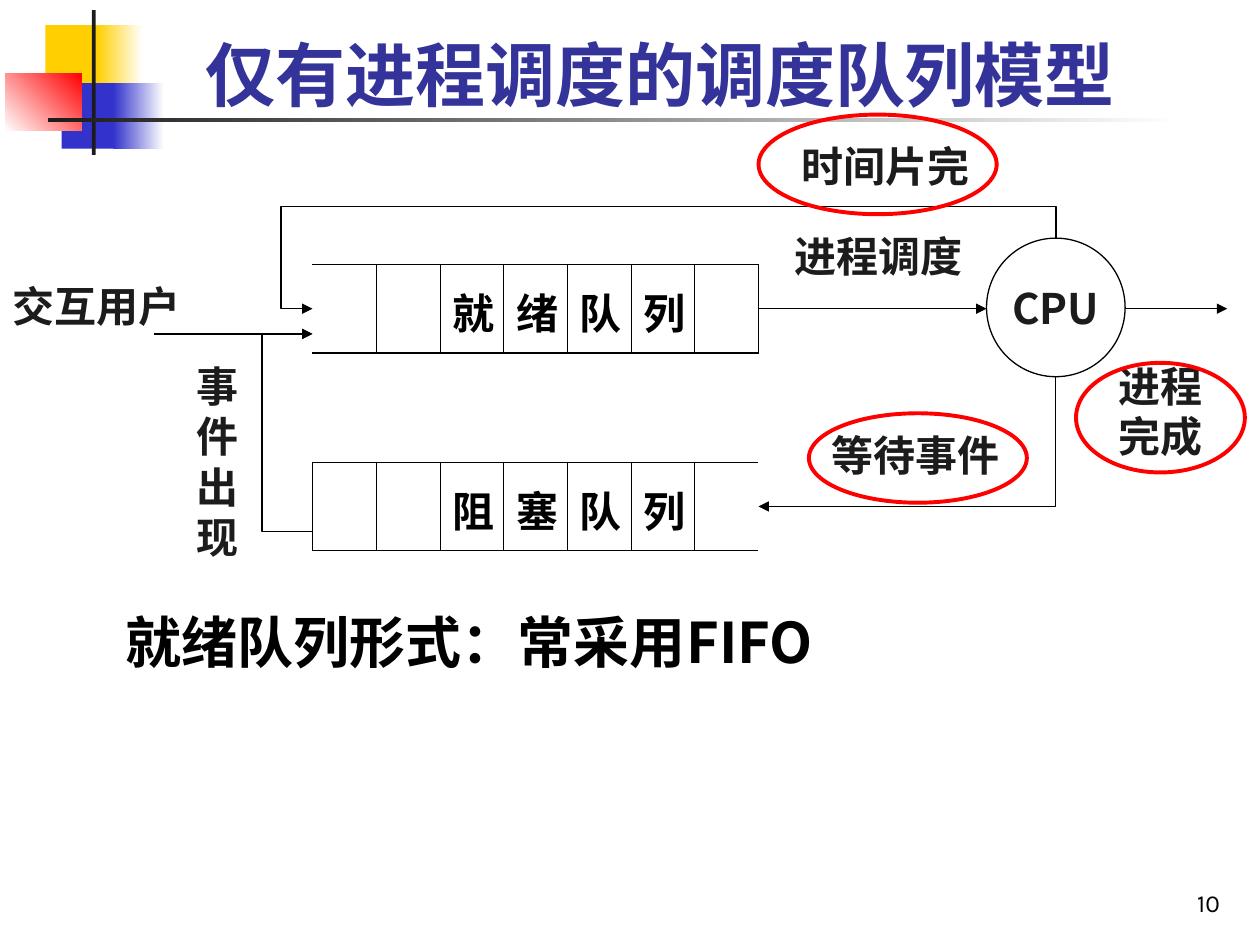
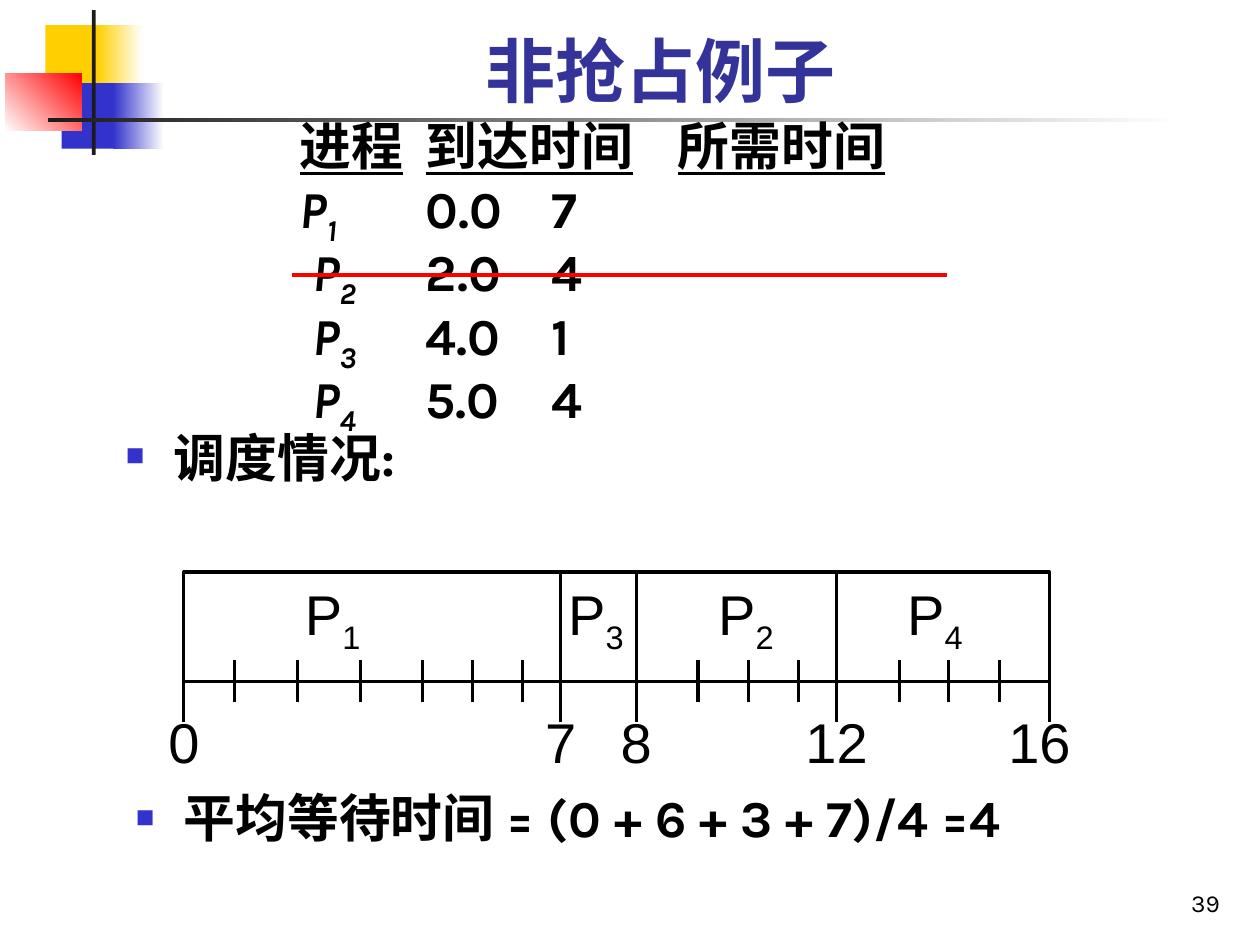
from collections import namedtuple

from lxml import etree
from pptx import Presentation
from pptx import util as u
from pptx.dml.color import RGBColor
from pptx.enum import shapes, text
from pptx.oxml.ns import qn

COLS, ROWS = 10, 7.5  # slide grid; every length below counts its columns and rows
CELL = u.Inches(1)
HAN, LATIN, PLAIN = "Noto Sans CJK SC", "Karla", "Arial"
BLACK, WHITE, INK = "000000", "FFFFFF", "1C1C1C"
RED, BLUE, YELLOW, TITLE = "FF0000", "3333CC", "FFCF01", "333399"
RECT, OVAL = shapes.MSO_SHAPE.RECTANGLE, shapes.MSO_SHAPE.OVAL
LEFT, CENTER, RIGHT = text.PP_ALIGN.LEFT, text.PP_ALIGN.CENTER, text.PP_ALIGN.RIGHT
TOP, MIDDLE, BOTTOM = (text.MSO_ANCHOR.TOP, text.MSO_ANCHOR.MIDDLE,
                       text.MSO_ANCHOR.BOTTOM)


class Box(namedtuple("Box", "x y w h")):
    def inner(self, x, y, w, h):
        """Box of the given size, placed from this box's corner."""
        return Box(self.x + x, self.y + y, w, h)

    def point(self, x, y):
        return self.x + x, self.y + y

    def emu(self):
        return [grid(v) for v in self]


def grid(n):
    return int(round(n * CELL))


def color(hex_string):
    return RGBColor.from_string(hex_string)


def sub(parent, tag, **attrs):
    return etree.SubElement(parent, qn(tag), {k: str(v) for k, v in attrs.items()})


# ---- text ----

def add_run(p, words, size=24, font=HAN, ink=BLACK, bold=False, italic=False,
            underline=False, base=0):
    r = p.add_run()
    r.text = words
    f = r.font
    f.size, f.name, f.bold, f.italic = u.Pt(size), font, bold, italic
    f.underline = underline
    f.color.rgb = color(ink)
    rPr = r._r.get_or_add_rPr()
    if base:
        rPr.set("baseline", str(base * 1000))
    sub(rPr, "a:ea", typeface=PLAIN if font == PLAIN else HAN)


def format_paragraph(p, align=LEFT, before=0, spacing=None, bullet=False, tabs=()):
    p.alignment = align
    pPr = p._p.get_or_add_pPr()
    if bullet:
        pPr.set("marL", str(grid(0.38)))
        pPr.set("indent", str(grid(-0.38)))
        sub(sub(pPr, "a:buClr"), "a:srgbClr", val=BLUE)
        sub(pPr, "a:buSzPct", val=60000)
        sub(pPr, "a:buFont", typeface=PLAIN)
        sub(pPr, "a:buChar", char="■")
    if tabs:
        stops = sub(pPr, "a:tabLst")
        for stop in tabs:
            sub(stops, "a:tab", pos=grid(stop), algn="l")
    p.space_before = u.Pt(before)
    if spacing:
        p.line_spacing = spacing


def fill_frame(tf, runs, anchor=TOP, align=LEFT, wrap=True, bullet=False, **font):
    """Write one paragraph; runs is a string or a list of (text, extra format)."""
    tf.word_wrap, tf.vertical_anchor = wrap, anchor
    p = tf.paragraphs[0]
    format_paragraph(p, align, bullet=bullet)
    for words, extra in [(runs, {})] if isinstance(runs, str) else runs:
        add_run(p, words, **{**font, **extra})


def add_text(s, box, runs, **kw):
    sp = s.shapes.add_textbox(*box.emu())
    fill_frame(sp.text_frame, runs, **kw)
    return sp


# ---- shapes and lines ----

def add_shape(s, kind, box, fill=None, line=None, width=1, angle=0):
    """fill is a colour, a pair of colours for a gradient, or None."""
    sp = s.shapes.add_shape(kind, *box.emu())
    sp.shadow.inherit = False
    if fill is None:
        sp.fill.background()
    elif isinstance(fill, tuple):
        sp.fill.gradient()
        sp.fill.gradient_angle = angle
        for stop, c in zip(sp.fill.gradient_stops, fill):
            stop.color.rgb = color(c)
    else:
        sp.fill.solid()
        sp.fill.fore_color.rgb = color(fill)
    if line:
        set_line(sp, line, width)
    else:
        sp.line.fill.background()
    return sp


def set_line(sp, ink, width, arrow=False):
    sp.line.color.rgb = color(ink)
    sp.line.width = u.Pt(width)
    if arrow:
        sub(sp.line._get_or_add_ln(), "a:tailEnd", type="triangle")


def add_line(s, start, end, ink=BLACK, width=1.75, arrow=False):
    ends = [grid(v) for v in (*start, *end)]
    sp = s.shapes.add_connector(shapes.MSO_CONNECTOR.STRAIGHT, *ends)
    set_line(sp, ink, width, arrow)
    sub(sp._element.spPr, "a:effectLst")
    return sp


def add_route(s, points):
    """Arrow that turns corners."""
    start, *rest = [(grid(x), grid(y)) for x, y in points]
    builder = s.shapes.build_freeform(*start)
    builder.add_line_segments(rest, close=False)
    sp = builder.convert_to_shape()
    sp.shadow.inherit = False
    sp.fill.background()
    set_line(sp, BLACK, 0.75, arrow=True)


# ---- what the slides share ----

def decorate(s, box):
    for fill, angle, place in (
            (YELLOW, 0, (0.36, 0.2, 0.48, 0.52)),
            ((YELLOW, WHITE), 0, (0.77, 0.2, 0.36, 0.52)),
            (BLUE, 0, (0.49, 0.66, 0.46, 0.52)),
            ((BLUE, WHITE), 0, (0.9, 0.66, 0.4, 0.52)),
            ((WHITE, RED), 45, (0.04, 0.58, 0.61, 0.46)),
            (INK, 0, (0.73, 0.08, 0.03, 1.15)),
            ((INK, WHITE), 0, (0.38, 0.94, 9, 0.03))):
        add_shape(s, RECT, box.inner(*place), fill, angle=angle)


def new_slide(prs, title, number, anchor):
    s = prs.slides.add_slide(prs.slide_layouts[6])
    page = Box(0, 0, COLS, ROWS)
    decorate(s, page)
    add_text(s, page.inner(0.98, 0.13, 8.52, 0.84), title, anchor=anchor,
             align=CENTER, size=40, ink=TITLE, bold=True)
    add_text(s, page.inner(7.7, 6.83, 2.08, 0.5), number, anchor=BOTTOM,
             align=RIGHT, size=14, font=LATIN)
    return s, page


# ---- scheduling queues ----

def set_borders(cell, hidden):
    tcPr = cell._tc.get_or_add_tcPr()
    for side, width in (("L", 0.45), ("R", 0.45), ("T", 1.08), ("B", 1.08)):
        ln = sub(tcPr, "a:ln" + side, w=u.Pt(width))
        if side == hidden:
            sub(ln, "a:noFill")
        else:
            sub(sub(ln, "a:solidFill"), "a:srgbClr", val=BLACK)


def add_queue(s, box, name, open_side):
    """Row of seven slots, open at its left (L) or right (R) end."""
    slots = 7
    table = s.shapes.add_table(1, slots, *box.emu()).table
    table.first_row = table.horz_banding = False
    open_slot = 0 if open_side == "L" else slots - 1
    for i, letter in enumerate(["", "", *name, ""]):
        table.columns[i].width = grid(box.w / slots)
        cell = table.cell(0, i)
        set_borders(cell, open_side if i == open_slot else None)
        cell.fill.background()
        cell.margin_top = grid(0.13)
        if letter:
            fill_frame(cell.text_frame, letter, bold=True)


def queue_model(s, box):
    ready_y, blocked_y, cpu_x = 1.54, 3.11, 8.38
    queue_l, queue_r = 2.48, 6.02
    for y, name, side in ((1.19, "就绪队列", "L"), (2.76, "阻塞队列", "R")):
        add_queue(s, box.inner(queue_l, y, queue_r - queue_l, 0.7), name, side)

    cpu = add_shape(s, OVAL, box.inner(7.83, 0.98, 1.1, 1.1), line=BLACK, width=0.75)
    fill_frame(cpu.text_frame, "CPU", anchor=MIDDLE, align=CENTER, wrap=False,
               ink=INK, bold=True)

    for x1, x2, y in ((queue_r, 7.83, ready_y), (8.93, 9.74, ready_y),
                      (1.22, queue_l, 1.74)):
        add_line(s, box.point(x1, y), box.point(x2, y), width=0.75, arrow=True)
    for corners in (
            ((cpu_x, 0.98), (cpu_x, 0.73), (2.23, 0.73), (2.23, ready_y),
             (queue_l, ready_y)),
            ((queue_l, 3.31), (2.08, 3.31), (2.08, 1.74), (queue_l, 1.74)),
            ((cpu_x, 2.08), (cpu_x, blocked_y), (queue_r, blocked_y))):
        add_route(s, [box.point(*c) for c in corners])

    for words, place in (("进程调度", (6.21, 0.87, 1.56, 0.5)),
                         ("时间片完", (6.26, 0.16, 1.68, 0.5)),
                         ("事件出现", (1.46, 1.9, 0.6, 1.7)),
                         ("交互用户", (0, 1.27, 1.56, 0.5)),
                         ("等待事件", (6.5, 2.45, 1.56, 0.5)),
                         ("进程完成", (8.78, 1.9, 1.14, 0.9))):
        add_text(s, box.inner(*place), words, ink=INK, bold=True)
    for place in ((6.02, 0, 1.89, 0.79), (8.54, 1.97, 1.34, 0.87),
                  (6.42, 2.37, 1.73, 0.71)):
        add_shape(s, OVAL, box.inner(*place), line=RED, width=2.25)


# ---- non-preemptive example ----

def process_list(s, box):
    font = dict(size=29.6, bold=True)
    tf = s.shapes.add_textbox(*box.emu()).text_frame
    tf.word_wrap = True
    p = tf.paragraphs[0]
    format_paragraph(p, spacing=0.7, tabs=(1.38, 2.38, 4.38))
    for heading in ("进程", "到达时间", "所需时间"):
        add_run(p, "\t", **font)
        add_run(p, heading, underline=True, **font)

    font["font"] = LATIN
    rows = (("0.0", 7), ("2.0", 4), ("4.0", 1), ("5.0", 4))
    for i, (arrival, burst) in enumerate(rows, 1):
        p = tf.add_paragraph()
        format_paragraph(p, before=8, spacing=0.7,
                         tabs=(1.38 if i == 1 else 1.48, 2.38, 3.38))
        add_run(p, "\tP", italic=True, **font)
        add_run(p, str(i), italic=True, base=-25, **font)
        add_run(p, f"\t{arrival}\t{burst}", **font)

    p = tf.add_paragraph()
    format_paragraph(p, before=8, spacing=0.7, bullet=True)
    add_run(p, "调度情况:", **font)


def timeline(s, box):
    """Gantt bar; ticks holds the place of each time unit from 0 to 16."""
    ticks = (0, 0.4, 0.9, 1.4, 1.89, 2.29, 2.69, 2.99, 3.59, 4.08, 4.48, 4.88,
             5.18, 5.68, 6.07, 6.47, 6.87)
    switches = (0, 7, 8, 12, 16)
    label = dict(anchor=MIDDLE, align=CENTER, wrap=False, size=32, font=PLAIN)
    add_shape(s, RECT, box, WHITE, BLACK, 1.75)
    for time, x in enumerate(ticks):
        if time in switches:
            add_line(s, box.point(x, 0), box.point(x, box.h + 0.32))
            shift = 0.08 if time == switches[-1] else 0
            add_text(s, box.inner(x - shift - 0.35, 1.02, 0.7, 0.64), str(time), **label)
        else:
            add_line(s, box.point(x, 0.7), box.point(x, 1.03))
    for process, x in ((1, 1.18), (3, 3.27), (2, 4.46), (4, 5.96)):
        add_text(s, box.inner(x - 0.32, 0.01, 0.64, 0.71),
                 [("P", {}), (str(process), {"base": -25})], **label)


def main():
    prs = Presentation()
    prs.slide_width, prs.slide_height = grid(COLS), grid(ROWS)

    s, page = new_slide(prs, "仅有进程调度的调度队列模型", "10", BOTTOM)
    queue_model(s, page.inner(0, 0.91, COLS, 3.47))
    add_text(s, page.inner(0.9, 4.77, 7.72, 1.97), "就绪队列形式：常采用FIFO",
             size=32, bold=True)

    s, page = new_slide(prs, "非抢占例子", "39", MIDDLE)
    process_list(s, page.inner(0.9, 0.99, 7.69, 2.91))
    timeline(s, page.inner(1.46, 4.54, 6.87, 0.87))
    add_text(s, page.inner(0.98, 6.19, 8.74, 0.63),
             "平均等待时间 = (0 + 6 + 3 + 7)/4 =4", bullet=True,
             size=29.6, font=LATIN, bold=True)
    add_line(s, page.point(2.32, 2.18), page.point(7.52, 2.18), RED, 2.25)

    prs.save("out.pptx")


if __name__ == "__main__":
    main()
